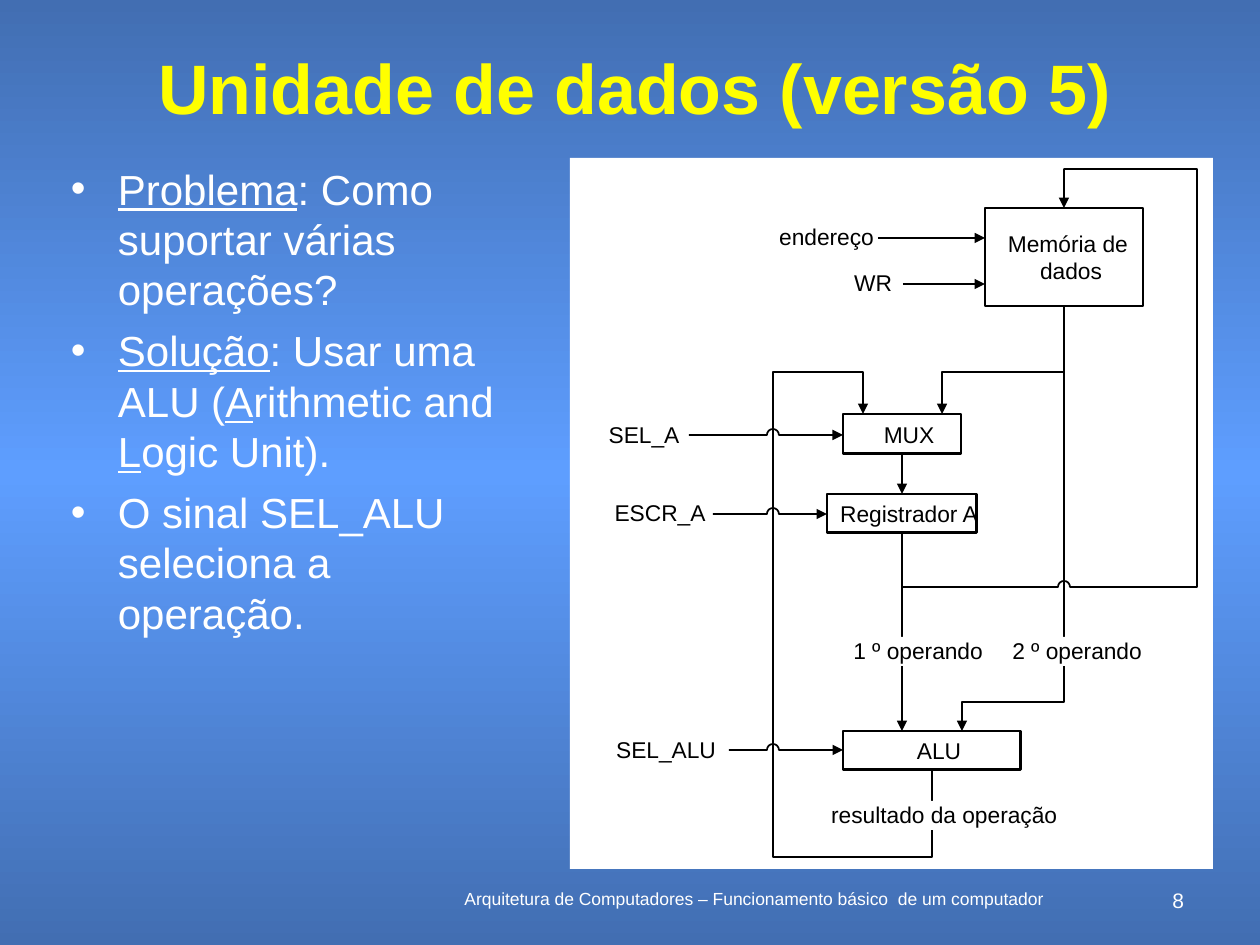
import copy
import math

import pptx
import pptx.dml.color
import pptx.enum.shapes
import pptx.enum.text
import pptx.oxml
import pptx.oxml.ns
import pptx.util

EMU_PER_PX = 914400 / 126
WHITE = pptx.dml.color.RGBColor(0xFF, 0xFF, 0xFF)
BLACK = pptx.dml.color.RGBColor(0x00, 0x00, 0x00)
YELLOW = pptx.dml.color.RGBColor(0xFF, 0xFF, 0x00)
EDGE_BLUE = pptx.dml.color.RGBColor(0x42, 0x6E, 0xB2)
MIDDLE_BLUE = pptx.dml.color.RGBColor(0x5E, 0x9E, 0xFF)
ALIGN = pptx.enum.text.PP_ALIGN
ANCHOR = pptx.enum.text.MSO_ANCHOR
qn = pptx.oxml.ns.qn


def px(value):
    return pptx.util.Emu(round(value * EMU_PER_PX))


def add_xml(parent, tag, **attributes):
    element = parent.makeelement(qn(tag), attributes)
    parent.append(element)
    return element


def write(frame, text, size, color, align=ALIGN.LEFT, anchor=ANCHOR.TOP, bold=False,
          wrap=True, margins=(13, 6, 13, 6), line_spacing=None, space_before=0, bullet=False):
    """Fill a text frame: one paragraph a line, with |bars| around underlined words."""
    frame.word_wrap = wrap
    frame.vertical_anchor = anchor
    (frame.margin_left, frame.margin_top,
     frame.margin_right, frame.margin_bottom) = map(px, margins)
    for number, line in enumerate(text.split("\n")):
        paragraph = frame.add_paragraph() if number else frame.paragraphs[0]
        paragraph.alignment = align
        paragraph.space_before = pptx.util.Pt(space_before)
        if line_spacing:
            paragraph.line_spacing = line_spacing
        if bullet:
            properties = paragraph._p.get_or_add_pPr()
            properties.set("marL", str(px(47)))
            properties.set("indent", str(-px(47)))
            add_xml(properties, "a:buFont", typeface="Arial")
            add_xml(properties, "a:buChar", char="•")
        for index, part in enumerate(line.split("|")):
            if part:
                run = paragraph.add_run()
                run.text = part
                run.font.name = "Arial"
                run.font.size = pptx.util.Pt(size)
                run.font.bold = bold
                run.font.underline = index % 2 == 1
                run.font.color.rgb = color


def hop(x, y, radius=6, steps=8):
    """Points of a half circle that carries a wire over a vertical one."""
    angles = [math.pi * step / steps for step in range(steps + 1)]
    return [(x - radius * math.cos(a), y - radius * math.sin(a)) for a in angles]


class Diagram:
    label_size = 13
    wire_width = 1
    box_width = 1.62

    def __init__(self, slide):
        self.slide = slide

    def background(self, edge, middle):
        fill = self.slide.background.fill
        fill.gradient()
        fill.gradient_angle = 270
        stop_list = self.slide.element.find(".//" + qn("a:gsLst"))
        stop_list.insert(1, copy.deepcopy(stop_list[0]))
        for stop, color, position in zip(fill.gradient_stops, (edge, middle, edge), (0, 0.5, 1)):
            stop.color.rgb = color
            stop.position = position

    def text(self, text, x, y, width, height, **style):
        shape = self.slide.shapes.add_textbox(*map(px, (x, y, width, height)))
        write(shape.text_frame, text, **style)

    def label(self, text, x, y, width, height=28):
        self.text(text, x, y, width, height, size=self.label_size, color=BLACK,
                  align=ALIGN.CENTER, wrap=False, margins=(0, 0, 0, 0))

    def box(self, x, y, width, height, text="", outlined=True):
        shape = self.slide.shapes.add_shape(
            pptx.enum.shapes.MSO_SHAPE.RECTANGLE, *map(px, (x, y, width, height)))
        shape.shadow.inherit = False
        shape.fill.solid()
        shape.fill.fore_color.rgb = WHITE
        if outlined:
            self.stroke(shape, self.box_width)
        else:
            shape.line.fill.background()
        if text:
            write(shape.text_frame, text, self.label_size, BLACK, align=ALIGN.CENTER,
                  anchor=ANCHOR.MIDDLE, wrap=False, margins=(14, 0, 0, 0))

    def stroke(self, shape, width, arrow=False):
        shape.line.color.rgb = BLACK
        shape.line.width = pptx.util.Pt(width)
        if arrow:
            add_xml(shape.line._get_or_add_ln(), "a:tailEnd", type="triangle", w="med", len="med")

    def arrow(self, start, end):
        connector = self.slide.shapes.add_connector(
            pptx.enum.shapes.MSO_CONNECTOR.STRAIGHT, *map(px, start + end))
        self.stroke(connector, self.wire_width, arrow=True)
        add_xml(connector._element.spPr, "a:effectLst")

    def wire(self, *points):
        """Bent arrow through the points."""
        corners = [(px(x), px(y)) for x, y in points]
        builder = self.slide.shapes.build_freeform(*corners[0], scale=1)
        builder.add_line_segments(corners[1:], close=False)
        shape = builder.convert_to_shape()
        shape.shadow.inherit = False
        shape.fill.background()
        self.stroke(shape, self.wire_width, arrow=True)


def draw_texts(diagram):
    diagram.text("Arquitetura de Computadores – Funcionamento básico  de um computador ",
                 420, 882, 672, 32, size=10, color=WHITE, align=ALIGN.CENTER)
    diagram.text("8", 1144, 882, 53, 21, size=12, color=WHITE, align=ALIGN.RIGHT)
    diagram.text("Unidade de dados (versão 5)", 94, 52, 1081, 84, size=40, color=YELLOW,
                 bold=True, align=ALIGN.CENTER, anchor=ANCHOR.MIDDLE, line_spacing=0.8)
    diagram.text("|Problema|: Como suportar várias operações?\n"
                 "|Solução|: Usar uma ALU (|A|rithmetic and |L|ogic Unit).\n"
                 "O sinal SEL_ALU seleciona a operação.",
                 58, 157, 467, 685, size=24, color=WHITE, space_before=6, bullet=True)


def draw_data_unit(diagram):
    memory_x, register_x, feedback_x = 1064, 902, 773
    diagram.box(570, 158, 643, 711, outlined=False)

    diagram.wire((932, 770), (932, 857), (feedback_x, 857), (feedback_x, 372),
                 (863, 372), (863, 414))
    diagram.wire((memory_x, 306), (memory_x, 372), (942, 372), (942, 414))
    diagram.wire((memory_x, 306), (memory_x, 702), (962, 702), (962, 731))
    diagram.wire((register_x, 533), (register_x, 587), *hop(memory_x, 587),
                 (1197, 587), (1197, 169), (memory_x, 169), (memory_x, 208))
    for start, end, y in ((689, 843, 435), (713, 827, 514), (729, 843, 750)):
        diagram.wire((start, y), *hop(feedback_x, y), (end, y))
    diagram.arrow((register_x, 455), (register_x, 494))
    diagram.arrow((register_x, 533), (register_x, 731))
    diagram.arrow((878, 238), (985, 238))
    diagram.arrow((903, 284), (985, 284))

    diagram.box(985, 208, 158, 98, "Memória de \ndados")
    diagram.box(843, 414, 118, 40, "MUX")
    diagram.box(827, 494, 150, 39, "Registrador A")
    diagram.box(843, 731, 178, 39, "ALU")

    # White gaps in the wires, behind the labels that sit on them
    for x, y, width in ((844, 637, 135), (1003, 637, 135), (814, 801, 237)):
        diagram.box(x, y, width, 29, outlined=False)

    diagram.label("endereço", 732, 223, 189)
    diagram.label("WR", 807, 269, 132)
    diagram.label("SEL_A", 604, 421, 80)
    diagram.label("ESCR_A", 610, 499, 100)
    diagram.label("SEL_ALU", 611, 736, 110)
    diagram.label("1 º operando", 808, 637, 220)
    diagram.label("2 º operando", 967, 637, 220)
    diagram.label("resultado da operação", 784, 801, 320)


def main():
    presentation = pptx.Presentation()
    presentation.slide_width = px(1260)
    presentation.slide_height = px(945)
    diagram = Diagram(presentation.slides.add_slide(presentation.slide_layouts[6]))
    diagram.background(EDGE_BLUE, MIDDLE_BLUE)
    draw_texts(diagram)
    draw_data_unit(diagram)
    presentation.save("out.pptx")


if __name__ == "__main__":
    main()
